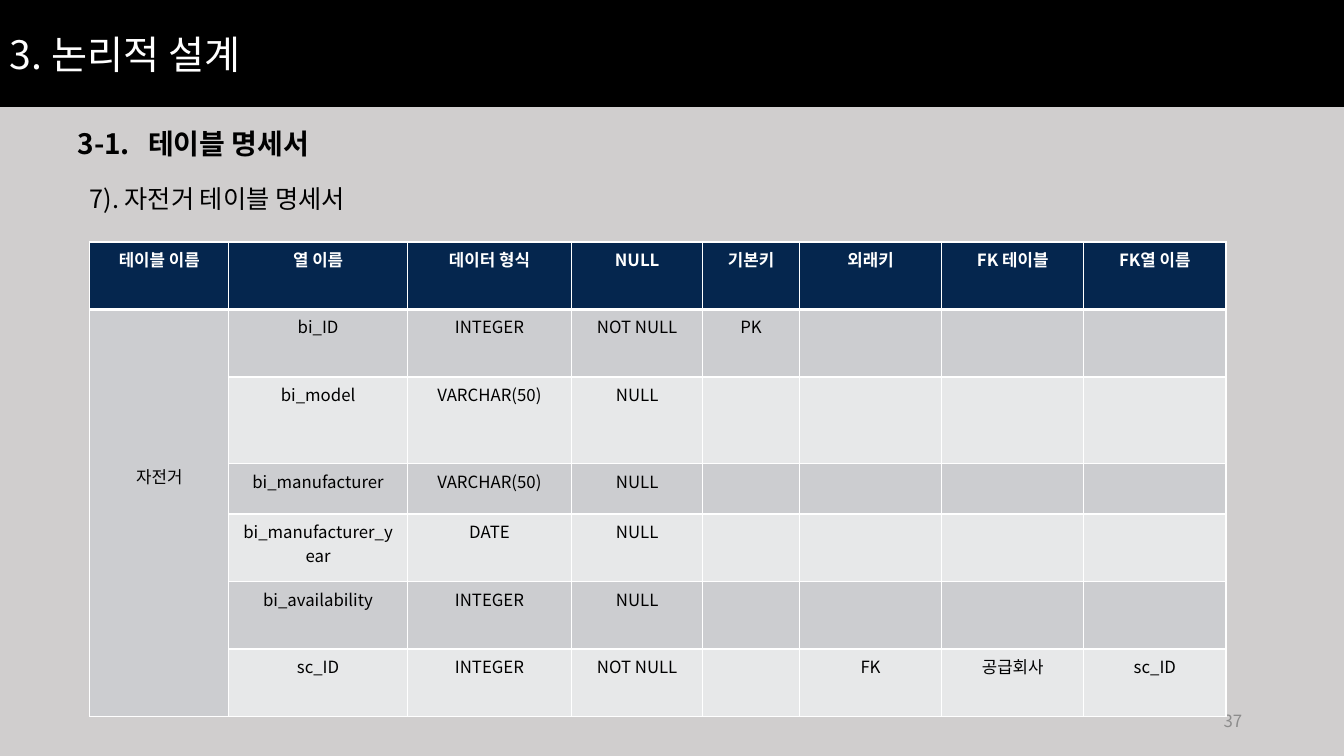
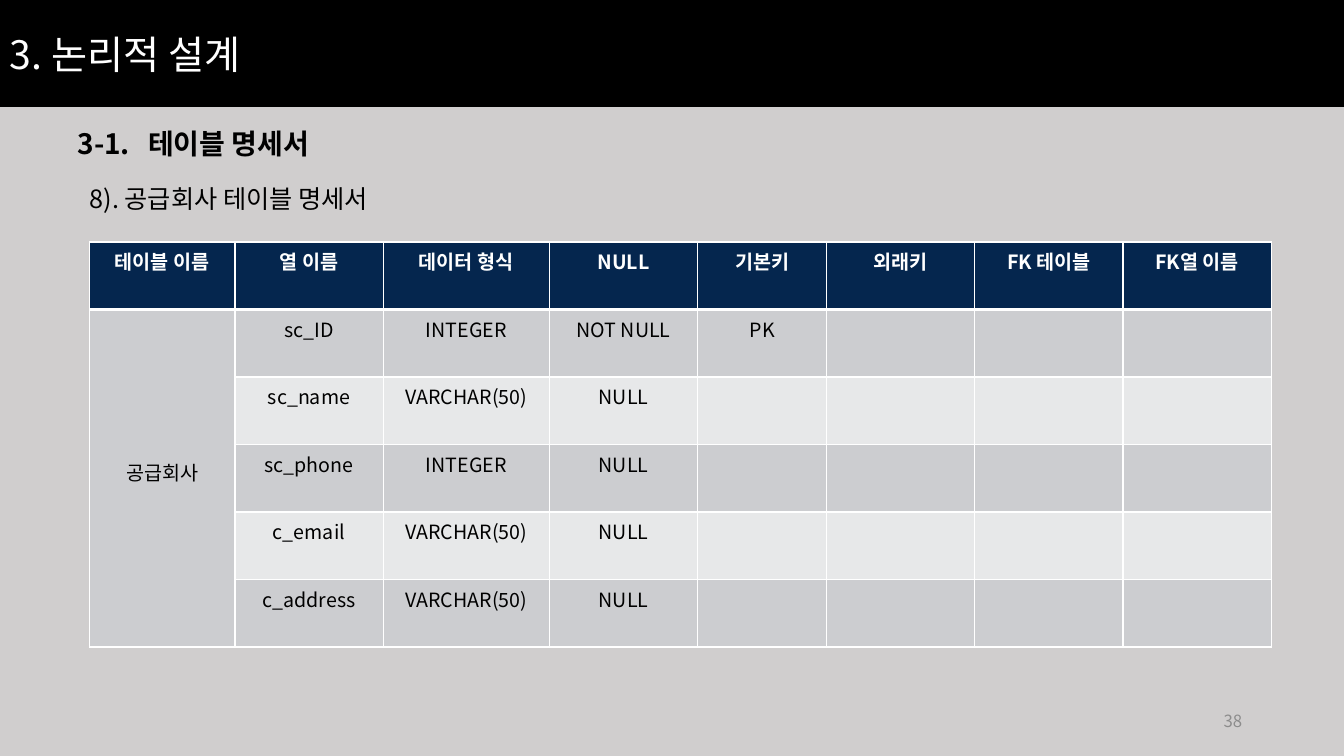
from lxml import etree
from pptx import Presentation
from pptx.dml.color import RGBColor
from pptx.enum.shapes import MSO_SHAPE
from pptx.enum.text import MSO_ANCHOR, PP_ALIGN
from pptx.oxml.ns import qn
from pptx.util import Inches, Pt

RECT = MSO_SHAPE.RECTANGLE
TOP, MIDDLE = MSO_ANCHOR.TOP, MSO_ANCHOR.MIDDLE
LEFT, CENTER, RIGHT = PP_ALIGN.LEFT, PP_ALIGN.CENTER, PP_ALIGN.RIGHT

THEME = {
    "font": "Noto Sans CJK KR",
    "page": "D0CECE", "black": "000000", "white": "FFFFFF", "grey": "8C8C8C",
    "header": "05264E", "bands": ("CCCDD0", "E7E8E9"),
    "title": 28, "section": 20, "subtitle": 18, "number": 12,
}

HEADERS = ["테이블 이름", "열 이름", "데이터 형식", "NULL", "기본키", "외래키",
           "FK 테이블", "FK열 이름"]

# Each row: column name, type, NULL, primary key, foreign key, FK table, FK column
SPECS = [
    {
        "subtitle": "7). 자전거 테이블 명세서", "number": "37", "name": "자전거",
        "size": 12, "name_top": 1.53,
        "cols": [1.38, 1.77, 1.63, 1.3, 0.96, 1.41, 1.41, 1.41],
        "heights": [0.67, 0.67, 0.86, 0.5, 0.67, 0.67, 0.67],
        "rows": [
            ["bi_ID", "INTEGER", "NOT NULL", "PK"],
            ["bi_model", "VARCHAR(50)", "NULL"],
            ["bi_manufacturer", "VARCHAR(50)", "NULL"],
            ["bi_manufacturer_year", "DATE", "NULL"],
            ["bi_availability", "INTEGER", "NULL"],
            ["sc_ID", "INTEGER", "NOT NULL", "", "FK", "공급회사", "sc_ID"],
        ],
    },
    {
        "subtitle": "8). 공급회사 테이블 명세서", "number": "38", "name": "공급회사",
        "size": 14, "name_top": 1.47,
        "cols": [1.44, 1.47, 1.65, 1.47, 1.28, 1.47, 1.47, 1.47],
        "heights": [0.67] * 6,
        "rows": [
            ["sc_ID", "INTEGER", "NOT NULL", "PK"],
            ["sc_name", "VARCHAR(50)", "NULL"],
            ["sc_phone", "INTEGER", "NULL"],
            ["c_email", "VARCHAR(50)", "NULL"],
            ["c_address", "VARCHAR(50)", "NULL"],
        ],
    },
]


def write(tf, text, size, color, bold=False, align=LEFT, tab=None):
    p = tf.paragraphs[0]
    p.alignment = align
    if tab:
        tabs = etree.SubElement(p._p.get_or_add_pPr(), qn("a:tabLst"))
        etree.SubElement(tabs, qn("a:tab"), pos=str(Inches(tab)), algn="l")
    r = p.add_run()
    r.text = text
    r.font.size = Pt(size)
    r.font.bold = bold
    r.font.color.rgb = RGBColor.from_string(color)
    r.font.name = THEME["font"]
    etree.SubElement(r._r.get_or_add_rPr(), qn("a:ea"), typeface=THEME["font"])


def style_cell(cell, fill, top, bottom):
    tcPr = cell._tc.get_or_add_tcPr()
    for side, width in (("L", 1), ("R", 1), ("T", top), ("B", bottom)):
        ln = etree.SubElement(tcPr, qn("a:ln" + side), w=str(Pt(width)))
        solid = etree.SubElement(ln, qn("a:solidFill"))
        etree.SubElement(solid, qn("a:srgbClr"), val=THEME["white"])
    cell.fill.solid()
    cell.fill.fore_color.rgb = RGBColor.from_string(fill)


prs = Presentation()
prs.slide_width, prs.slide_height = Inches(13.33), Inches(7.5)

# Shared background
bg = prs.slide_master.background.fill
bg.solid()
bg.fore_color.rgb = RGBColor.from_string(THEME["page"])

for spec in SPECS:
    s = prs.slides.add_slide(prs.slide_layouts[6])

    # Title band
    sp = s.shapes.add_shape(RECT, 0, 0, prs.slide_width, Inches(1.06))
    sp.shadow.inherit = False
    sp.fill.solid()
    sp.fill.fore_color.rgb = RGBColor.from_string(THEME["black"])
    sp.line.fill.background()
    sp.text_frame.vertical_anchor = MIDDLE
    write(sp.text_frame, "3. 논리적 설계", THEME["title"], THEME["white"])

    # Section heading, subtitle and page number
    for text, box, size, color, bold, align, anchor, tab in (
        ("3-1.\t테이블 명세서", (0.67, 1.21, 2.59, 0.44),
         THEME["section"], THEME["black"], True, LEFT, TOP, 0.7),
        (spec["subtitle"], (0.79, 1.77, 3.3, 0.4),
         THEME["subtitle"], THEME["black"], False, LEFT, TOP, None),
        (spec["number"], (9.42, 6.95, 3, 0.4),
         THEME["number"], THEME["grey"], False, RIGHT, MIDDLE, None),
    ):
        tf = s.shapes.add_textbox(*map(Inches, box)).text_frame
        tf.word_wrap = True
        tf.vertical_anchor = anchor
        write(tf, text, size, color, bold, align, tab)

    # Table specification
    cols, heights = spec["cols"], spec["heights"]
    table = s.shapes.add_table(
        len(heights), len(cols), Inches(0.89), Inches(2.4),
        Inches(sum(cols)), Inches(sum(heights))).table
    table.horz_banding = False
    for col, width in zip(table.columns, cols):
        col.width = Inches(width)
    for row, height in zip(table.rows, heights):
        row.height = Inches(height)

    for j, text in enumerate(HEADERS):
        cell = table.cell(0, j)
        style_cell(cell, THEME["header"], 1, 3)
        write(cell.text_frame, text, spec["size"], THEME["white"], True, CENTER)

    for i, values in enumerate(spec["rows"], 1):
        for j in range(len(cols)):
            band = 0 if j == 0 else (i - 1) % 2
            style_cell(table.cell(i, j), THEME["bands"][band], 3 if i == 1 else 1, 1)
        for j, text in enumerate(values, 1):
            if text:
                write(table.cell(i, j).text_frame, text, spec["size"],
                      THEME["black"], False, CENTER)

    # Table name, spanning all body rows
    name = table.cell(1, 0)
    name.merge(table.cell(len(heights) - 1, 0))
    name.margin_top = Inches(spec["name_top"])
    write(name.text_frame, spec["name"], spec["size"], THEME["black"], False, CENTER)

prs.save("out.pptx")
